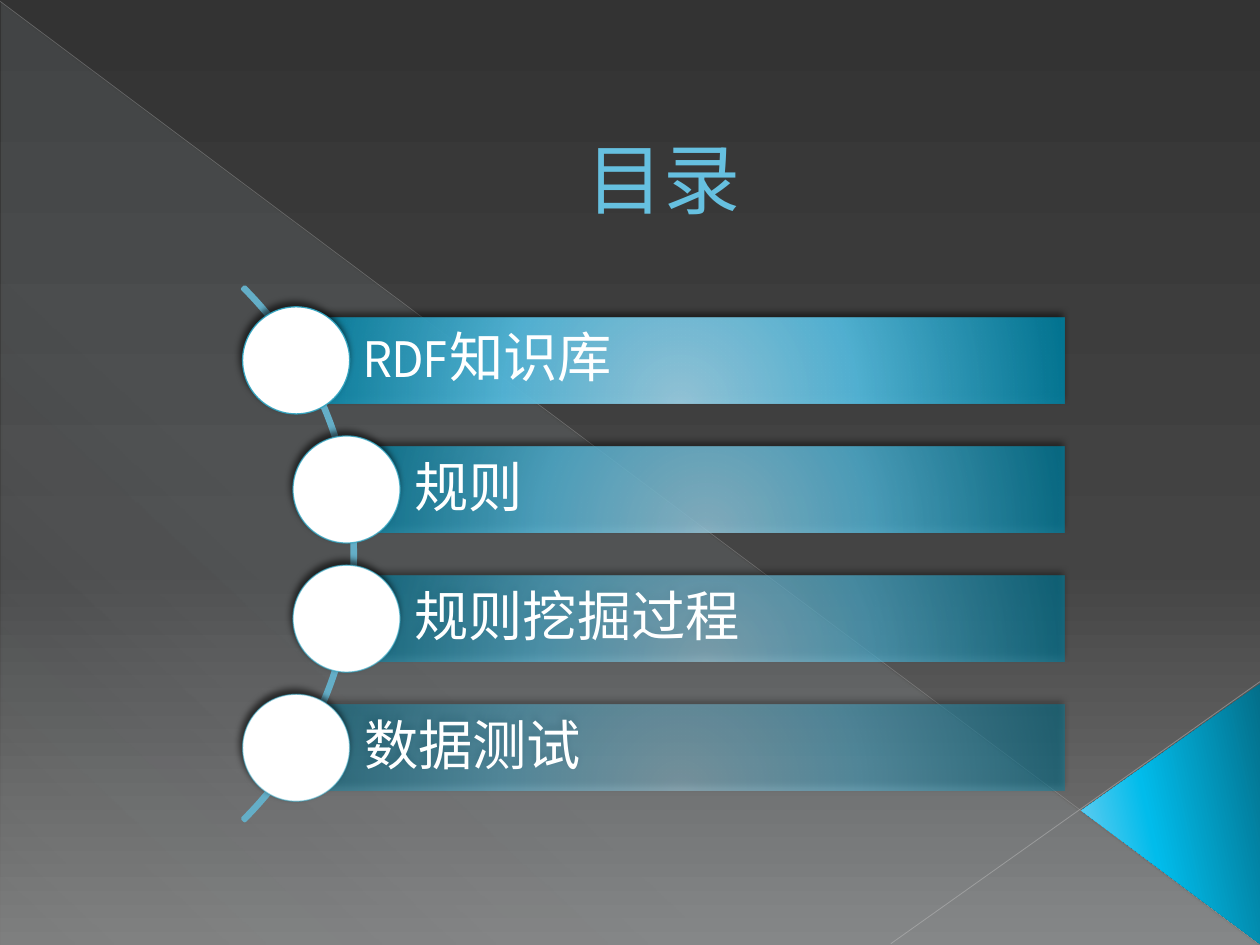
import lxml.etree
import pptx
import pptx.dml.color
import pptx.enum.shapes
import pptx.enum.text
import pptx.oxml.ns
import pptx.util

Inches = pptx.util.Inches
Pt = pptx.util.Pt
RGBColor = pptx.dml.color.RGBColor
SHAPE = pptx.enum.shapes.MSO_SHAPE
ALIGN = pptx.enum.text.PP_ALIGN
ANCHOR = pptx.enum.text.MSO_ANCHOR
qn = pptx.oxml.ns.qn

TITLE = "目录"
TOPICS = [  # text, left edge of the bar
    ("RDF知识库", 2.35),
    ("规则", 2.75),
    ("规则挖掘过程", 2.75),
    ("数据测试", 2.35),
]
FONT = "League Spartan"

WHITE = RGBColor(0xFF, 0xFF, 0xFF)
BLACK = RGBColor(0, 0, 0)
TITLE_BLUE = RGBColor(0x66, 0xC0, 0xE0)
TITLE_EDGE = RGBColor(0x1F, 0x70, 0x84)
ARC_BLUE = RGBColor(0x64, 0xAE, 0xC7)
CIRCLE_EDGE = RGBColor(0x2D, 0xA2, 0xBF)
MIST = RGBColor(0xDE, 0xF5, 0xFA)
BACKGROUND = [(0, RGBColor(0x33, 0x33, 0x33), 100), (60, RGBColor(0x44, 0x44, 0x44), 100),
              (100, RGBColor(0x7D, 0x7D, 0x7D), 100)]
WEDGE = [(0, MIST, 10), (70, MIST, 8), (100, MIST, 1)]
CORNER = [(0, RGBColor(0x03, 0x6E, 0x89), 100), (60, RGBColor(0x01, 0xBC, 0xEB), 100),
          (100, RGBColor(0x7C, 0xD1, 0xF2), 100)]
BAR_COLORS = [(0, RGBColor(0x9F, 0xD4, 0xE9)), (46, RGBColor(0x57, 0xC0, 0xE4)),
              (100, RGBColor(0x01, 0x7E, 0x9E))]
DIAGONALS = [  # from, to, colour, width, opacity
    ((0, 0.01), (9.99, 7.49), RGBColor(0xB9, 0xB9, 0xB9), 0.39, 35),
    ((10, 5.41), (7.07, 7.49), RGBColor(0xC1, 0xC1, 0xC1), 0.47, 45),
]

BAR_TOP, BAR_PITCH, BAR_HEIGHT, BAR_RIGHT = 2.52, 1.025, 0.68, 8.45
CIRCLE_SIZE = 0.85
FIRST_OPACITY, LAST_OPACITY = 90, 50


def add_node(parent, tag, **attributes):
    """Append an XML child with the given attributes."""
    node = lxml.etree.SubElement(parent, qn(tag))
    for name, value in attributes.items():
        node.set(name, str(value))
    return node


def add_color(parent, color, opacity):
    """Append a colour with an opacity in percent."""
    node = add_node(parent, "a:srgbClr", val=color)
    if opacity < 100:
        add_node(node, "a:alpha", val=round(opacity * 1000))


def set_gradient(fill, owner, stops, angle=None):
    """Fill with a linear gradient, or a radial one when no angle is given."""
    fill.gradient()
    gradient = next(owner.iter(qn("a:gradFill")))
    for child in list(gradient):
        gradient.remove(child)
    gradient.set("rotWithShape", "1")
    stop_list = add_node(gradient, "a:gsLst")
    for position, color, opacity in stops:
        stop = add_node(stop_list, "a:gs", pos=position * 1000)
        add_color(stop, color, opacity)
    if angle is None:
        radial = add_node(gradient, "a:path", path="circle")
        add_node(radial, "a:fillToRect", l=50000, t=155000, r=50000, b=-55000)
    else:
        add_node(gradient, "a:lin", ang=angle * 60000, scaled=0)


def set_line(shape, color, width, opacity=100):
    """Give a shape or connector a solid line."""
    shape.line.color.rgb = color
    shape.line.width = Pt(width)
    solid = shape.line._get_or_add_ln().find(qn("a:solidFill"))
    solid.clear()
    add_color(solid, color, opacity)


def add_shape(kind, left, top, width, height):
    """Add a shape with neither line nor shadow."""
    shape = slide.shapes.add_shape(
        kind, Inches(left), Inches(top), Inches(width), Inches(height))
    shape.shadow.inherit = False
    shape.line.fill.background()
    return shape


def add_shadow(shape):
    """Cast a soft dark shadow to the upper left."""
    effects = shape.element.spPr.find(qn("a:effectLst"))
    shadow = add_node(effects, "a:outerShdw", blurRad=Pt(4), dist=Pt(3),
                      dir=245 * 60000, rotWithShape=0)
    add_color(shadow, BLACK, 60)


def set_text(shape, text, size, color, alignment, anchor):
    """Write one formatted paragraph and return it."""
    frame = shape.text_frame
    frame.text = text
    frame.word_wrap = True
    frame.vertical_anchor = anchor
    paragraph = frame.paragraphs[0]
    paragraph.alignment = alignment
    font = paragraph.runs[0].font
    font.name, font.size, font.color.rgb = FONT, Pt(size), color
    return paragraph


def add_backdrop():
    """Add the background gradient, wedge, diagonals and corner triangle."""
    set_gradient(slide.background.fill, slide.element, BACKGROUND, 90)
    wedge = add_shape(SHAPE.RIGHT_TRIANGLE, 0.01, 0.02, 9.98, 7.48)
    set_gradient(wedge.fill, wedge.element, WEDGE, 133)
    for start, end, color, width, opacity in DIAGONALS:
        diagonal = slide.shapes.add_connector(
            pptx.enum.shapes.MSO_CONNECTOR.STRAIGHT, *map(Inches, start + end))
        set_line(diagonal, color, width, opacity)
        add_node(diagonal.element.spPr, "a:effectLst")
    corner = add_shape(SHAPE.ISOSCELES_TRIANGLE, 8.26, 5.75, 2.07, 1.42)
    corner.adjustments[0] = 0.513
    corner.rotation = 270
    set_gradient(corner.fill, corner.element, CORNER, 258)


def add_title():
    """Place the title in front of the backdrop."""
    title = slide.shapes.title
    title.left, title.top, title.width, title.height = map(Inches, (0.5, 0.92, 9, 0.91))
    paragraph = set_text(title, TITLE, 44, TITLE_BLUE, ALIGN.CENTER, ANCHOR.BOTTOM)
    properties = paragraph._p.get_or_add_pPr()
    properties.set("marL", str(Inches(0.53)))
    properties.set("indent", "0")
    outline = lxml.etree.Element(qn("a:ln"), w=str(Pt(0.5)))
    add_color(add_node(outline, "a:solidFill"), TITLE_EDGE, 100)
    paragraph.runs[0]._r.get_or_add_rPr().insert(0, outline)
    title.element.getparent().append(title.element)


def add_topic(index, text, left):
    """Add one bar with its text and the circle on its left edge."""
    top = BAR_TOP + index * BAR_PITCH
    opacity = FIRST_OPACITY + (LAST_OPACITY - FIRST_OPACITY) * index / (len(TOPICS) - 1)
    bar = add_shape(SHAPE.RECTANGLE, left, top, BAR_RIGHT - left, BAR_HEIGHT)
    set_gradient(bar.fill, bar.element,
                 [(position, color, opacity) for position, color in BAR_COLORS])
    add_shadow(bar)
    paragraph = set_text(bar, text, 31, WHITE, ALIGN.LEFT, ANCHOR.MIDDLE)
    paragraph.line_spacing = 0.9
    frame = bar.text_frame
    frame.margin_left = Inches(0.54)
    frame.margin_top = frame.margin_right = frame.margin_bottom = Inches(0.09)

    circle = add_shape(SHAPE.OVAL, left - CIRCLE_SIZE / 2,
                       top + (BAR_HEIGHT - CIRCLE_SIZE) / 2, CIRCLE_SIZE, CIRCLE_SIZE)
    circle.fill.solid()
    circle.fill.fore_color.rgb = WHITE
    set_line(circle, CIRCLE_EDGE, 0.75, opacity)
    add_shadow(circle)


presentation = pptx.Presentation()
presentation.slide_width, presentation.slide_height = Inches(10), Inches(7.5)
slide = presentation.slides.add_slide(presentation.slide_layouts[5])
add_backdrop()
add_title()
arc = add_shape(SHAPE.BLOCK_ARC, -3.17, 1.4, 5.99, 5.99)
for number, value in enumerate((189, 27, 0.004)):
    arc.adjustments[number] = value
arc.fill.background()
set_line(arc, ARC_BLUE, 2)
for index, (text, left) in enumerate(TOPICS):
    add_topic(index, text, left)
presentation.save("out.pptx")
